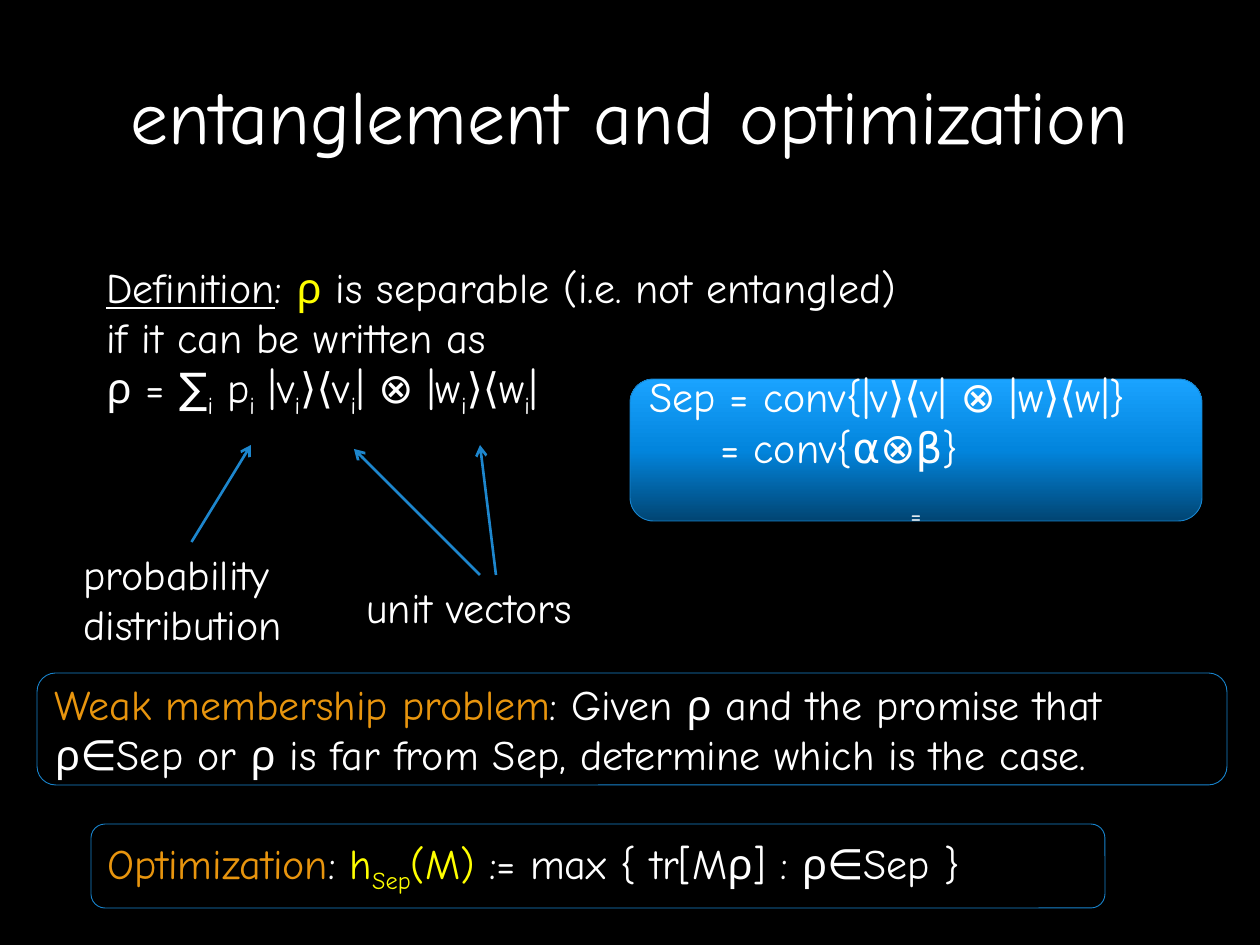
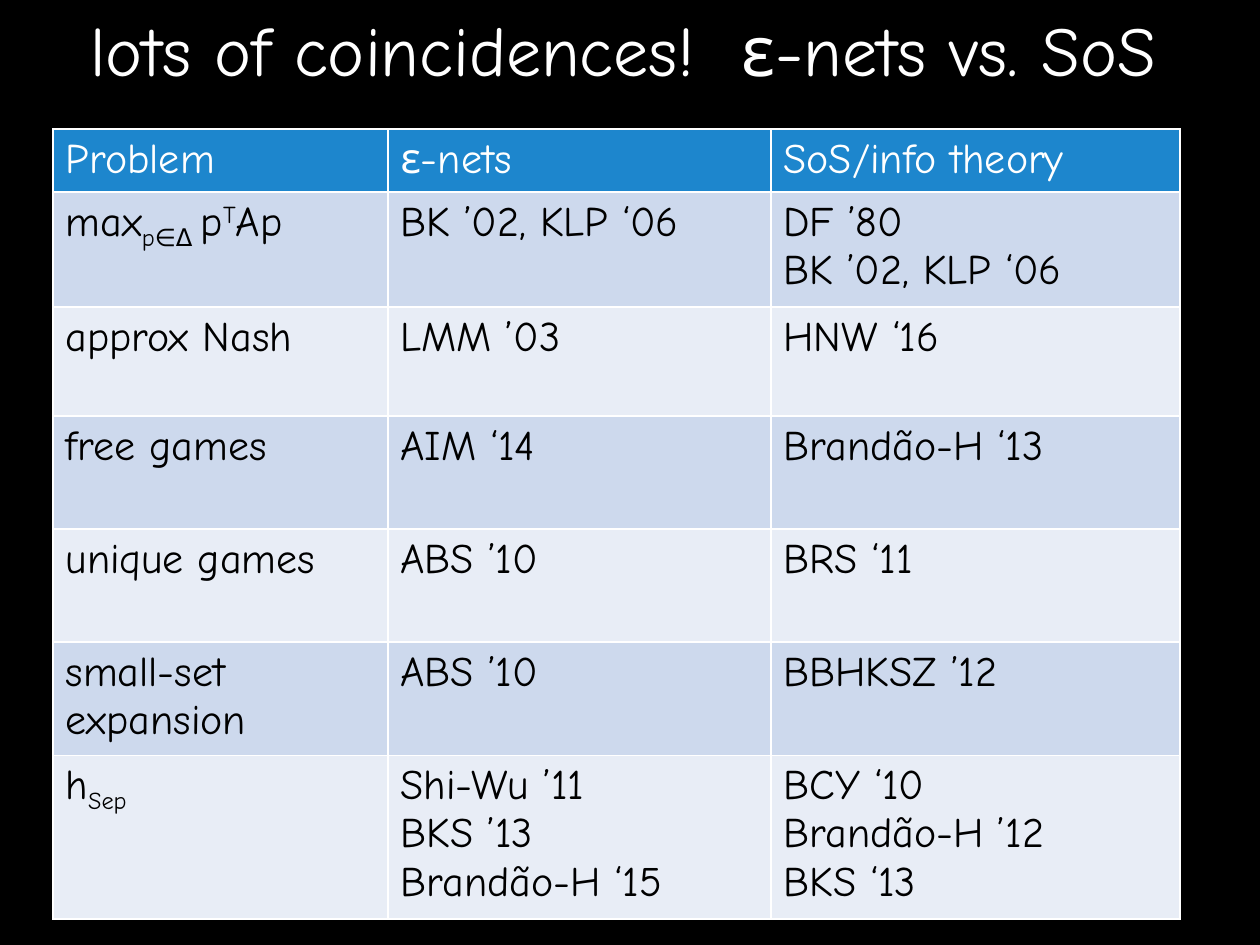
from copy import deepcopy
from itertools import groupby

from lxml.etree import SubElement
from pptx import Presentation
from pptx.dml.color import RGBColor
from pptx.enum.shapes import MSO_CONNECTOR as Connector, MSO_SHAPE as Shape
from pptx.enum.text import MSO_ANCHOR as Anchor, PP_ALIGN as Align
from pptx.oxml.ns import qn
from pptx.util import Emu, Pt

PX_PER_INCH = 126
FONT = "Comic Neue"
BLACK, WHITE, YELLOW, ORANGE = "000000", "FFFFFF", "FFFF00", "E8950E"
BLUE, OUTLINE = "1D86CD", "1884CD"
ROW_BANDS = ["CDD9ED", "E8EDF6"]
SEP_GRADIENT = [(0, "014573"), (0.5, "0285DD"), (1, "1AA3FF")]

BASELINES = {"~": "-25000", "^": "30000"}
HIGHLIGHTS = {"#": YELLOW, "@": ORANGE}
MARKS = "~^#@_\v"

COLUMN_WIDTHS = [335, 383, 409]
ROW_HEIGHTS = [62, 115, 109, 113, 113, 113, 158]
RESULTS = [
    ["Problem", "ε-nets", "SoS/info theory"],
    ["max~p∈Δ ~p^T^Ap", "BK ’02, KLP ‘06", "DF ’80\vBK ’02, KLP ‘06"],
    ["approx Nash", "LMM ’03", "HNW ‘16"],
    ["free games", "AIM ‘14", "Brandão-H ‘13"],
    ["unique games", "ABS ’10", "BRS ‘11"],
    ["small-set expansion", "ABS ’10", "BBHKSZ ’12"],
    ["h~Sep~", "Shi-Wu ’11\vBKS ’13\vBrandão-H ‘15",
     "BCY ‘10\vBrandão-H ’12\vBKS ‘13"],
]


def px(length):
    """Turn pixels into EMU."""
    return Emu(round(length * 914400 / PX_PER_INCH))


def rgb(hex_color):
    """Turn a hex string into a colour."""
    return RGBColor.from_string(hex_color)


def write(frame, text, size=24, color=WHITE, align=Align.LEFT, anchor=Anchor.TOP):
    """Fill a frame; paired marks switch ~sub, ^super, _underline, #yellow and @orange."""
    frame.word_wrap = True
    frame.vertical_anchor = anchor
    for index, line in enumerate(text.split("\n")):
        paragraph = frame.add_paragraph() if index else frame.paragraphs[0]
        paragraph.alignment = align
        active = set()
        for mark, letters in groupby(line, lambda c: c if c in MARKS else ""):
            if mark == "\v":
                paragraph.add_line_break()
            elif mark:
                active ^= {mark}
            else:
                run = paragraph.add_run()
                run.text = "".join(letters)
                style_run(run, active, size, color)


def style_run(run, active, size, color):
    """Format one run according to its active marks."""
    font = run.font
    font.name, font.size, font.bold = FONT, Pt(size), False
    font.underline = True if "_" in active else None
    font.color.rgb = rgb(next((HIGHLIGHTS[m] for m in active if m in HIGHLIGHTS), color))
    for mark in active & BASELINES.keys():
        run._r.get_or_add_rPr().set("baseline", BASELINES[mark])


def add_slide(deck):
    """Add a blank black slide."""
    slide = deck.slides.add_slide(deck.slide_layouts[6])
    slide.background.fill.solid()
    slide.background.fill.fore_color.rgb = rgb(BLACK)
    return slide


def add_text(slide, area, text, **text_format):
    """Add a text box over a px area."""
    box = slide.shapes.add_textbox(*map(px, area))
    write(box.text_frame, text, **text_format)
    return box


def add_title(slide, area, text, size):
    """Add a centred slide title."""
    add_text(slide, area, text, size=size, align=Align.CENTER, anchor=Anchor.MIDDLE)


def add_panel(slide, area, text, gradient=None):
    """Add a rounded panel, hollow or with gradient stops from bottom to top."""
    panel = slide.shapes.add_shape(Shape.ROUNDED_RECTANGLE, *map(px, area))
    panel.shadow.inherit = False
    panel.line.color.rgb = rgb(OUTLINE)
    panel.line.width = Pt(0.5)
    if gradient:
        panel.fill.gradient()
        panel.fill.gradient_angle = 90
        stops = panel._element.spPr.find(".//" + qn("a:gsLst"))
        stops.append(deepcopy(stops[0]))
        for stop, (position, color) in zip(panel.fill.gradient_stops, gradient):
            stop.position = position
            stop.color.rgb = rgb(color)
    else:
        panel.fill.background()
    write(panel.text_frame, text, anchor=Anchor.MIDDLE)
    return panel


def add_arrow(slide, start, tip, label=None):
    """Draw an arrow, joined to the top of its label if one is given."""
    arrow = slide.shapes.add_connector(Connector.STRAIGHT, *map(px, start + tip))
    if label:
        arrow.begin_connect(label, 0)
    arrow.line.color.rgb = rgb(BLUE)
    arrow.line.width = Pt(1.5)
    SubElement(arrow.line._get_or_add_ln(), qn("a:tailEnd"), type="arrow")
    SubElement(arrow._element.spPr, qn("a:effectLst"))


def set_borders(cell):
    """Give a cell thin white borders, placed ahead of its fill."""
    properties = cell._tc.get_or_add_tcPr()
    for index, side in enumerate(["a:lnL", "a:lnR", "a:lnT", "a:lnB"]):
        border = SubElement(properties, qn(side), w=str(Pt(1)))
        SubElement(SubElement(border, qn("a:solidFill")), qn("a:srgbClr"), val=WHITE)
        properties.insert(index, border)


def add_results_table(slide, left, top):
    """Add the comparison table with a blue header and alternating bands."""
    table = slide.shapes.add_table(
        len(RESULTS), len(COLUMN_WIDTHS), px(left), px(top),
        px(sum(COLUMN_WIDTHS)), px(sum(ROW_HEIGHTS))).table
    for column, width in zip(table.columns, COLUMN_WIDTHS):
        column.width = px(width)
    for index, (row, height, entries) in enumerate(zip(table.rows, ROW_HEIGHTS, RESULTS)):
        row.height = px(height)
        for cell, entry in zip(row.cells, entries):
            cell.fill.solid()
            cell.fill.fore_color.rgb = rgb(ROW_BANDS[(index - 1) % 2] if index else BLUE)
            set_borders(cell)
            write(cell.text_frame, entry, color=BLACK if index else WHITE)


def build_entanglement(deck):
    """Build the slide on separability and optimization."""
    slide = add_slide(deck)
    add_title(slide, (94, 16, 1071, 197), "entanglement and optimization", 43.2)
    add_text(slide, (94, 255, 885, 165),
             "_Definition_: #ρ# is separable (i.e. not entangled)\n"
             "if it can be written as\n"
             "ρ = ∑~i~ p~i~ |v~i~⟩⟨v~i~| ⊗ |w~i~⟩⟨w~i~|")

    distribution = add_text(slide, (71, 542, 241, 115), "probability\vdistribution")
    add_arrow(slide, (192, 542), (251, 445), distribution)
    vectors = add_text(slide, (354, 575, 252, 63), "unit vectors")
    add_arrow(slide, (480, 575), (354, 449), vectors)
    add_arrow(slide, (496, 575), (480, 445))

    add_panel(slide, (37, 673, 1190, 112),
              "@Weak membership problem@: Given ρ and the promise that\v"
              "ρ∈Sep or ρ is far from Sep, determine which is the case.")
    sep = add_panel(slide, (630, 379, 572, 142),
                    "Sep = conv{|v⟩⟨v| ⊗ |w⟩⟨w|}\n= conv{α⊗β}\n~=~", SEP_GRADIENT)
    _, product_form, last_line = sep.text_frame.paragraphs
    product_form._p.get_or_add_pPr().set("marL", str(px(71)))
    last_line.alignment = Align.CENTER
    add_panel(slide, (91, 824, 1014, 84),
              "@Optimization@: #h~Sep~(M)# := max { tr[Mρ] : ρ∈Sep }")


def build_coincidences(deck):
    """Build the slide comparing nets with sums of squares."""
    slide = add_slide(deck)
    add_title(slide, (0, -19, 1247, 135), "lots of coincidences!  ε-nets vs. SoS", 40)
    add_results_table(slide, 53, 129)


def main():
    """Build and save the deck."""
    deck = Presentation()
    deck.slide_width, deck.slide_height = px(1260), px(945)
    build_entanglement(deck)
    build_coincidences(deck)
    deck.save("out.pptx")


if __name__ == "__main__":
    main()
